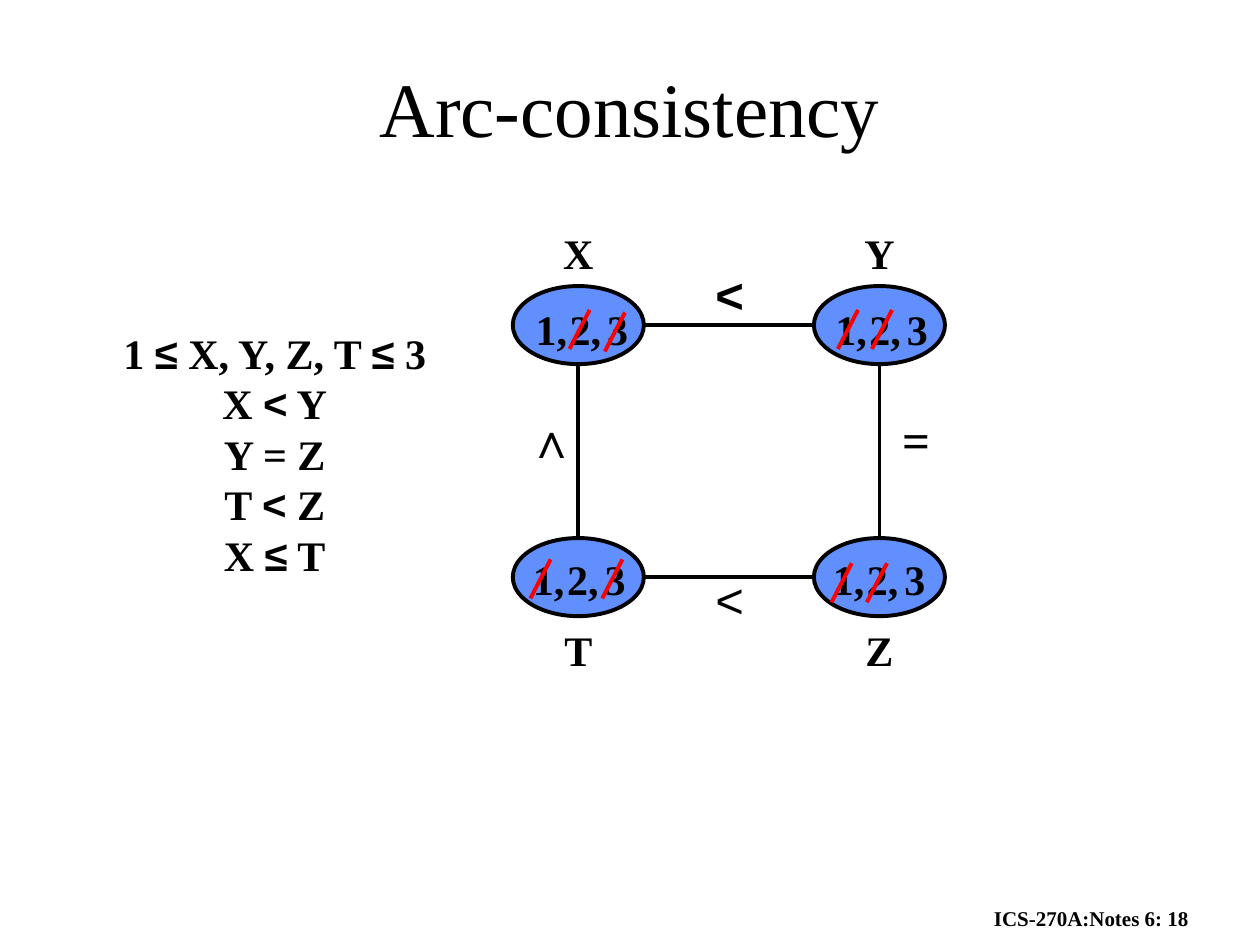
from dataclasses import dataclass

from pptx import Presentation
from pptx import util as u
from pptx.dml.color import RGBColor
from pptx.enum import shapes, text
from pptx.oxml.ns import qn


@dataclass(frozen=True)
class Theme:
    """Colours, fonts and sizes of the slide."""
    ink: RGBColor = RGBColor(0, 0, 0)
    node: RGBColor = RGBColor(0x61, 0x8F, 0xFD)
    strike: RGBColor = RGBColor(0xFF, 0, 0)
    serif: str = "Times New Roman"
    sans: str = "Arial"
    title: int = 44
    sign: int = 28
    body: int = 24
    foot: int = 12
    line: float = 2.25


T = Theme()
MID, LEFT = text.PP_ALIGN.CENTER, text.PP_ALIGN.LEFT
WIDE, HIGH = 1.04, 0.62
STEP_X, STEP_Y = 2.39, 2
RULES = [
    ["1 ", "≤", " X, Y, Z, T ", "≤", " 3"],
    ["X ", "<", " Y"],
    ["Y = Z"],
    ["T ", "<", " Z"],
    ["X ", "≤", " T"],
]
VALUES = [("1,", 0, 0.45), ("2,", 0.27, 0.45), ("3", 0.57, 0.36)]
NODES = [
    ("X", 0, 0, 0.08, 0.09, [(0.61, 0.19), (0.89, 0.21)]),
    ("Y", 1, 0, 0.07, 0.09, [(0.35, 0.19), (0.62, 0.19)]),
    ("T", 0, 1, 0.06, 0.07, [(0.3, 0.17), (0.87, 0.17)]),
    ("Z", 1, 1, 0.05, 0.07, [(0.3, 0.2), (0.58, 0.2)]),
]
SIGNS = [
    ("<", 1.51, -0.22, 0.42, T.sans, True),
    ("=", 2.99, 0.93, 0.42, T.serif, True),
    ("<", 1.51, 2.2, 0.42, T.sans, False),
    ("∧", 0.02, 0.93, 0.33, T.sans, False),
]


def write(slide, box, rows, size, bold=True, align=MID, wrap=False):
    """Add a text box from rows of (words, font) runs."""
    frame = slide.shapes.add_textbox(*map(u.Inches, box)).text_frame
    frame.word_wrap = wrap
    if wrap:
        frame.vertical_anchor = text.MSO_ANCHOR.MIDDLE
    else:
        frame.auto_size = text.MSO_AUTO_SIZE.SHAPE_TO_FIT_TEXT
    for i, row in enumerate(rows):
        para = frame.add_paragraph() if i else frame.paragraphs[0]
        para.alignment = align
        for words, face in row:
            run = para.add_run()
            run.text = words
            font = run.font
            font.name, font.size, font.bold = face, u.Pt(size), bold
            font.color.rgb = T.ink


def draw(slide, x1, y1, x2, y2, color):
    """Draw a straight line between two points."""
    ends = map(u.Inches, (x1, y1, x2, y2))
    line = slide.shapes.add_connector(shapes.MSO_CONNECTOR.STRAIGHT, *ends)
    line.line.color.rgb = color
    line.line.width = u.Pt(T.line)
    props = line._element.spPr
    props.append(props.makeelement(qn("a:effectLst"), {}))


def title(slide, box):
    """Place the slide title."""
    write(slide, box, [[("Arc-consistency", T.serif)]], T.title, False, wrap=True)


def rules(slide, box):
    """Place the list of constraints."""
    rows = [[(w, T.sans if w in "≤<" else T.serif) for w in row] for row in RULES]
    write(slide, box, rows, T.body)


def node(slide, x, y, name, low, dx, dy, cuts):
    """Place one variable with its domain and struck values."""
    box = map(u.Inches, (x, y, WIDE, HIGH))
    oval = slide.shapes.add_shape(shapes.MSO_SHAPE.OVAL, *box)
    oval.shadow.inherit = False
    oval.fill.solid()
    oval.fill.fore_color.rgb = T.node
    oval.line.color.rgb = T.ink
    oval.line.width = u.Pt(T.line)
    for value, step, wide in VALUES:
        spot = (x + dx + step, y + dy, wide, 0.5)
        write(slide, spot, [[(value, T.serif)]], T.body)
    tag = (x + WIDE / 2 - 0.22, y + (0.64 if low else -0.51), 0.44, 0.5)
    write(slide, tag, [[(name, T.serif)]], T.body)
    for cx, cy in cuts:
        draw(slide, x + cx, y + cy, x + cx - 0.16, y + cy + 0.31, T.strike)


def graph(slide, x, y):
    """Place the constraint graph from its top left node."""
    for i in range(2):
        mid_y = y + HIGH / 2 + i * STEP_Y
        draw(slide, x + WIDE, mid_y, x + STEP_X, mid_y, T.ink)
        mid_x = x + WIDE / 2 + i * STEP_X
        draw(slide, mid_x, y + HIGH, mid_x, y + STEP_Y, T.ink)
    for name, col, row, dx, dy, cuts in NODES:
        node(slide, x + col * STEP_X, y + row * STEP_Y, name, row, dx, dy, cuts)
    for sign, dx, dy, wide, face, bold in SIGNS:
        write(slide, (x + dx, y + dy, wide, 0.57), [[(sign, face)]], T.sign, bold)


def foot(slide, box):
    """Place the footer."""
    write(slide, box, [[("ICS-270A:Notes 6: 18", T.serif)]], T.foot, align=LEFT)


def main():
    """Build and save the slide."""
    deck = Presentation()
    deck.slide_width, deck.slide_height = u.Inches(10), u.Inches(7.5)
    slide = deck.slides.add_slide(deck.slide_layouts[6])
    foot(slide, (7.79, 7.14, 2.33, 0.3))
    title(slide, (0.75, 0.22, 8.5, 1.25))
    rules(slide, (0.77, 2.55, 2.82, 2.1))
    graph(slide, 4.07, 2.27)
    deck.save("out.pptx")


if __name__ == "__main__":
    main()
